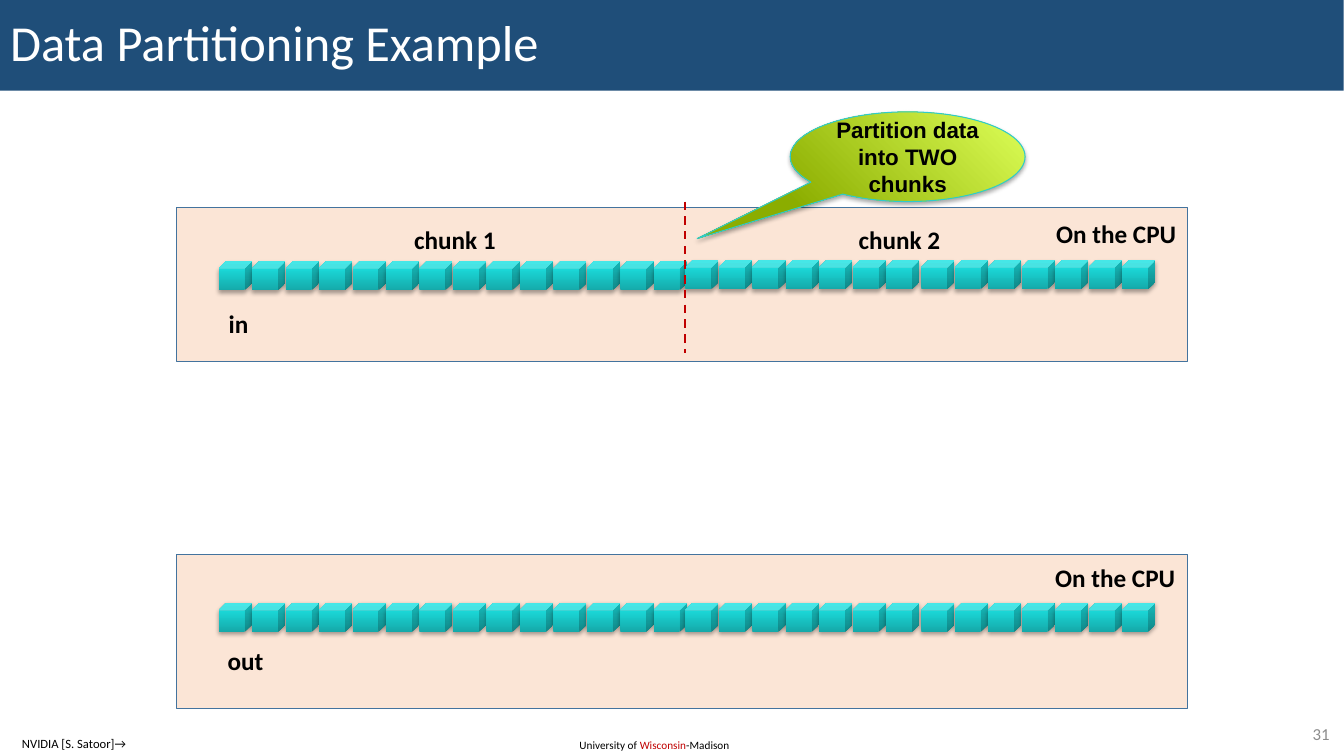
import pptx
import pptx.dml.color
import pptx.enum.dml
import pptx.enum.shapes
import pptx.enum.text
import pptx.oxml
import pptx.oxml.ns
import pptx.util
from lxml import etree

PX = 9144  # EMU, 100 px to the inch
SHAPES = pptx.enum.shapes.MSO_SHAPE
ALIGN = pptx.enum.text.PP_ALIGN
ANCHOR = pptx.enum.text.MSO_ANCHOR
AUTO_SIZE = pptx.enum.text.MSO_AUTO_SIZE

CUBE_STOPS = [(0, "15A9A9"), (80, "1BDCDC"), (100, "18E1E1")]
CUBE_DIRECTION = '<a:lin ang="16200000" scaled="0"/>'
CALLOUT_STOPS = [(0, "8BAD00"), (100, "DEFF58")]
CALLOUT_DIRECTION = '<a:path path="circle"><a:fillToRect t="100000" r="100000"/></a:path>'
CUBE_PITCH = 33.2
CUBE_RUNS = [(217, 14), (680, 7), (914, 7)]  # left edge, number of cubes


def px(*lengths):
    return [pptx.util.Emu(round(length * PX)) for length in lengths]


def rgb(color):
    return pptx.dml.color.RGBColor.from_string(color)


def parse(tag, content):
    namespace = pptx.oxml.ns.nsdecls("a")
    return pptx.oxml.parse_xml(f"<a:{tag} {namespace}>{content}</a:{tag}>")


def write_text(shape, text, size=18, color="000000", font="Calibri", bold=False,
               align=ALIGN.LEFT, anchor=ANCHOR.TOP, wrap=True,
               auto_size=AUTO_SIZE.NONE, line_spacing=None):
    """Fill a shape with one paragraph; text is a string or (text, colour) pairs."""
    frame = shape.text_frame
    frame.word_wrap = wrap
    frame.auto_size = auto_size
    frame.vertical_anchor = anchor
    paragraph = frame.paragraphs[0]
    paragraph.alignment = align
    paragraph.line_spacing = line_spacing
    for words, run_color in [(text, color)] if isinstance(text, str) else text:
        run = paragraph.add_run()
        run.text = words
        run.font.name = font
        run.font.size = pptx.util.Pt(size)
        run.font.bold = bold
        run.font.color.rgb = rgb(run_color)


def add_label(slide, box, text, **text_format):
    label = slide.shapes.add_textbox(*px(*box))
    text_format.setdefault("auto_size", AUTO_SIZE.SHAPE_TO_FIT_TEXT)
    write_text(label, text, **text_format)


def add_preset(slide, kind, box, line=None, line_width=1):
    shape = slide.shapes.add_shape(kind, *px(*box))
    shape.shadow.inherit = False
    if line:
        shape.line.color.rgb = rgb(line)
        shape.line.width = pptx.util.Pt(line_width)
    else:
        shape.line.fill.background()
    return shape


def add_panel(slide, box):
    panel = add_preset(slide, SHAPES.RECTANGLE, box, line="43739E")
    panel.fill.solid()
    panel.fill.fore_color.rgb = rgb("FBE5D6")


def add_glossy(slide, kind, box, stops, direction, **line_format):
    """Add a shape with a gradient fill and a soft shadow below it."""
    shape = add_preset(slide, kind, box, **line_format)
    stop_list = "".join(
        f'<a:gs pos="{position * 1000}"><a:srgbClr val="{color}"/></a:gs>'
        for position, color in stops)
    properties = shape.element.spPr
    geometry = properties.find(pptx.oxml.ns.qn("a:prstGeom"))
    geometry.addnext(parse("gradFill", f"<a:gsLst>{stop_list}</a:gsLst>{direction}"))
    shadow = etree.SubElement(
        properties.find(pptx.oxml.ns.qn("a:effectLst")), pptx.oxml.ns.qn("a:outerShdw"),
        blurRad="40000", dist="23000", dir="5400000", rotWithShape="0")
    shadow.append(pptx.oxml.parse_xml(
        f'<a:srgbClr {pptx.oxml.ns.nsdecls("a")} val="000000"><a:alpha val="35000"/></a:srgbClr>'))
    return shape


def add_cube_row(slide, tops):
    """Add one array of cubes; tops holds the top edge of each run."""
    for (left, count), top in zip(CUBE_RUNS, tops):
        for index in range(count):
            box = (left + index * CUBE_PITCH, top, 33, 29)
            add_glossy(slide, SHAPES.CUBE, box, CUBE_STOPS, CUBE_DIRECTION)


def add_divider(slide, x, top, bottom):
    divider = slide.shapes.add_connector(
        pptx.enum.shapes.MSO_CONNECTOR.STRAIGHT, *px(x, top, x, bottom))
    divider.line.color.rgb = rgb("C00000")
    divider.line.width = pptx.util.Pt(1.5)
    divider.line.dash_style = pptx.enum.dml.MSO_LINE.DASH
    divider.element.spPr.append(parse("effectLst", ""))


def add_title(slide, text):
    title = slide.shapes.title
    title.left, title.top, title.width, title.height = px(0, 0, 1333, 90)
    title.fill.solid()
    title.fill.fore_color.rgb = rgb("1F4E79")
    write_text(title, text, size=36, color="FFFFFF", anchor=ANCHOR.MIDDLE,
               line_spacing=0.9)


def add_callout(slide, text):
    callout = add_glossy(slide, SHAPES.OVAL_CALLOUT, (784, 111, 233, 89),
                         CALLOUT_STOPS, CALLOUT_DIRECTION,
                         line="2ECBCB", line_width=0.75)
    callout.adjustments[0] = -0.896
    callout.adjustments[1] = 0.912
    write_text(callout, text, size=16, font="Arial", bold=True,
               align=ALIGN.CENTER, anchor=ANCHOR.MIDDLE)


def main():
    presentation = pptx.Presentation()
    presentation.slide_width, presentation.slide_height = px(1333.33, 750)
    slide = presentation.slides.add_slide(presentation.slide_layouts[5])

    add_title(slide, "Data Partitioning Example")
    for top in (550, 206):
        add_panel(slide, (175, top, 1003, 153))
    add_cube_row(slide, (259, 258, 258))
    add_divider(slide, 680, 200, 350)
    add_callout(slide, "Partition data into TWO chunks")
    add_cube_row(slide, (598, 598, 598))

    for text, box in (
        ("in", (217, 301, 64, 40)),
        ("out", (216, 635, 64, 40)),
        ("chunk 1", (401, 218, 124, 40)),
        ("chunk 2", (842, 218, 124, 40)),
    ):
        add_label(slide, box, text, bold=True)
    for left, top in ((1038, 212), (1037, 553)):
        add_label(slide, (left, top, 140, 40), "On the CPU", bold=True, wrap=False)

    add_label(slide, (12, 725, 123, 25), "NVIDIA [S. Satoor]→", size=9, wrap=False)
    add_label(slide, (565, 728, 172, 24),
              [("University of ", "000000"), ("Wisconsin", "C00000"), ("-Madison", "000000")],
              size=8)
    add_label(slide, (1253, 713, 76, 29), "31", size=12, color="8C8C8C",
              align=ALIGN.RIGHT, anchor=ANCHOR.MIDDLE, auto_size=AUTO_SIZE.NONE)
    presentation.save("out.pptx")


if __name__ == "__main__":
    main()
